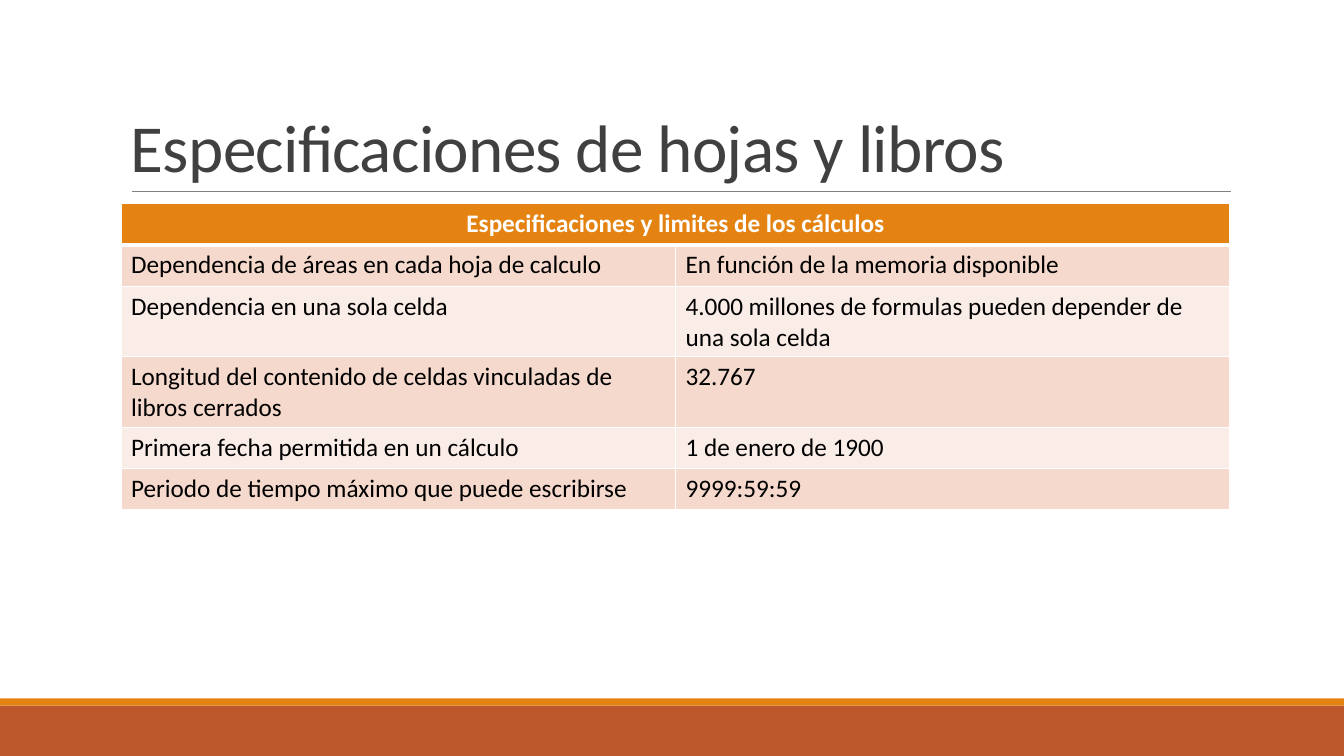
from lxml import etree
from pptx import Presentation
from pptx.dml.color import RGBColor
from pptx.enum.shapes import MSO_CONNECTOR, MSO_SHAPE
from pptx.enum.text import MSO_ANCHOR, PP_ALIGN
from pptx.oxml.ns import qn
from pptx.util import Inches, Pt

RECT = MSO_SHAPE.RECTANGLE
STRAIGHT = MSO_CONNECTOR.STRAIGHT
BOTTOM = MSO_ANCHOR.BOTTOM
LEFT, CENTER = PP_ALIGN.LEFT, PP_ALIGN.CENTER
FONT = "Calibri"
COLORS = {
    "rust": "BD582C", "orange": "E48312", "rule": "808080", "title": "404040",
    "white": "FFFFFF", "black": "000000", "band_dark": "F5D9CC", "band_light": "FAEDE7",
}
HEADER = "Especificaciones y limites de los cálculos"
ROWS = [
    ("Dependencia de áreas en cada hoja de calculo", "En función de la memoria disponible"),
    ("Dependencia en una sola celda",
     "4.000 millones de formulas pueden depender de una sola celda"),
    ("Longitud del contenido de celdas vinculadas de libros cerrados", "32.767"),
    ("Primera fecha permitida en un cálculo", "1 de enero de 1900"),
    ("Periodo de tiempo máximo que puede escribirse", "9999:59:59"),
]


def rgb(name):
    """Return the named colour."""
    return RGBColor.from_string(COLORS[name])


def add_run(p, text, size, color, bold=False):
    """Add a formatted run to a paragraph."""
    r = p.add_run()
    r.text = text
    r.font.name, r.font.size, r.font.bold = FONT, Pt(size), bold
    r.font.color.rgb = rgb(color)
    return r


def add_footer(s, x, y, w, h):
    """Draw the rust footer band with an orange strip along its top."""
    strip = 0.07
    for top, height, color in ((y + strip, h - strip, "rust"), (y, strip, "orange")):
        sp = s.shapes.add_shape(RECT, Inches(x), Inches(top), Inches(w), Inches(height))
        sp.shadow.inherit = False
        sp.fill.solid()
        sp.fill.fore_color.rgb = rgb(color)
        sp.line.fill.background()


def add_title(s, text, x, y, w, h):
    """Place the title at the bottom of its box, above a thin rule."""
    rule_x, rule_y = x + 0.11, y + h
    line = s.shapes.add_connector(STRAIGHT, Inches(rule_x), Inches(rule_y),
                                  Inches(rule_x + 10.9), Inches(rule_y))
    line.line.color.rgb = rgb("rule")
    line.line.width = Pt(0.5)
    etree.SubElement(line._element.spPr, qn("a:effectLst"))
    tf = s.shapes.add_textbox(Inches(x), Inches(y), Inches(w), Inches(h)).text_frame
    tf.word_wrap = True
    tf.vertical_anchor = BOTTOM
    p = tf.paragraphs[0]
    p.line_spacing = 0.85
    r = add_run(p, text, 48, "title")
    r.font._element.set("spc", "-50")


def set_borders(cell, bottom):
    """Give a cell white borders with the given bottom width in points."""
    tcPr = cell._tc.get_or_add_tcPr()
    for i, (side, width) in enumerate((("L", 1), ("R", 1), ("T", 1), ("B", bottom))):
        ln = etree.Element(qn(f"a:ln{side}"), w=str(Pt(width)))
        fill = etree.SubElement(ln, qn("a:solidFill"))
        etree.SubElement(fill, qn("a:srgbClr"), val=COLORS["white"])
        tcPr.insert(i, ln)


def fill_cell(cell, text, fill, color, align=LEFT, bold=False, bottom=1):
    """Set the text, fill and borders of one cell."""
    cell.fill.solid()
    cell.fill.fore_color.rgb = rgb(fill)
    set_borders(cell, bottom)
    p = cell.text_frame.paragraphs[0]
    p.alignment = align
    if text:
        add_run(p, text, 18, color, bold)


def add_limits_table(s, x, y, w, row_h):
    """Build the banded table of limits under a merged header."""
    count = len(ROWS) + 1
    table = s.shapes.add_table(count, 2, Inches(x), Inches(y),
                               Inches(w), Inches(row_h * count)).table
    for row in table.rows:
        row.height = Inches(row_h)
    table.cell(0, 0).merge(table.cell(0, 1))
    for j, text in enumerate((HEADER, "")):
        fill_cell(table.cell(0, j), text, "orange", "white", CENTER, True, 3)
    for i, texts in enumerate(ROWS, 1):
        band = "band_dark" if i % 2 else "band_light"
        for j, text in enumerate(texts):
            fill_cell(table.cell(i, j), text, band, "black")
        if i in (2, 3):
            table.rows[i].height = Inches(0.7)


def main():
    """Build and save the slide."""
    prs = Presentation()
    prs.slide_width, prs.slide_height = Inches(13.33), Inches(7.5)
    s = prs.slides.add_slide(prs.slide_layouts[6])
    add_footer(s, 0, 6.93, 13.33, 0.57)
    add_title(s, "Especificaciones de hojas y libros", 1.2, 0.31, 11, 1.59)
    add_limits_table(s, 1.2, 2.02, 11, 0.41)
    prs.save("out.pptx")


if __name__ == "__main__":
    main()
